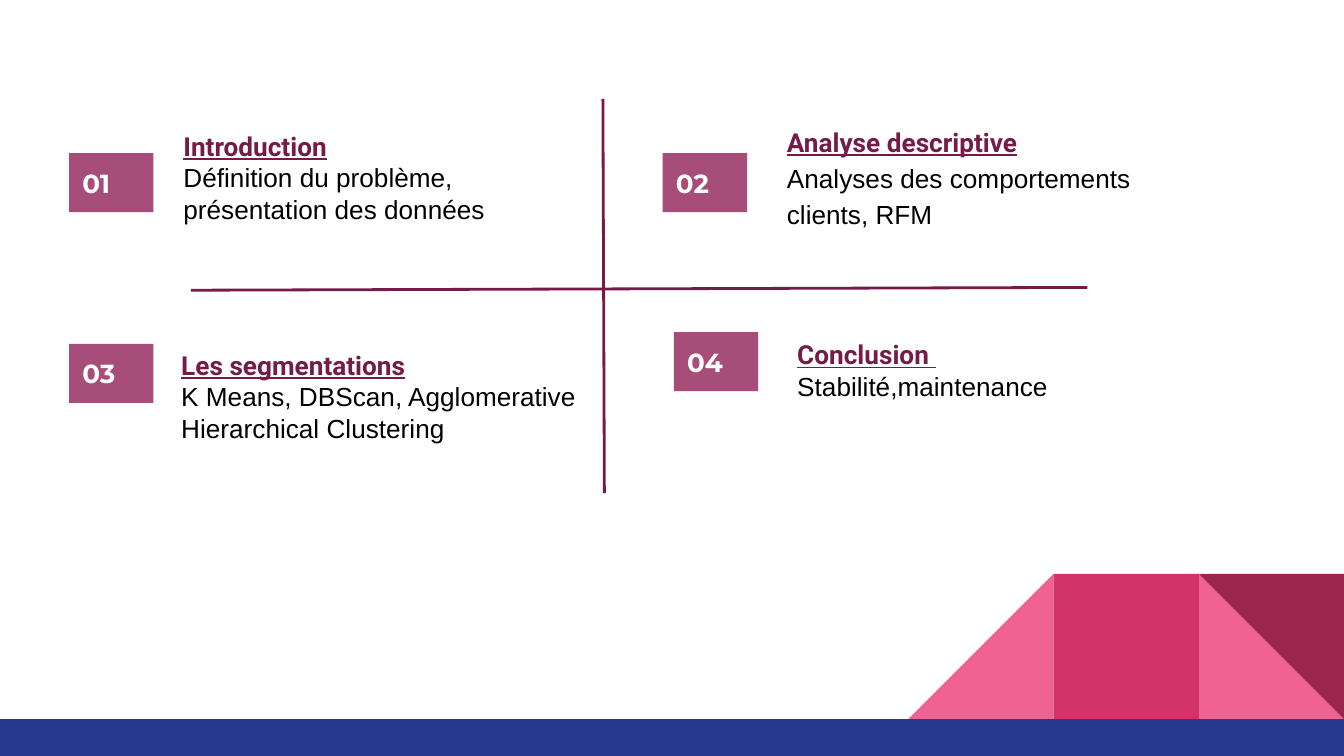
from dataclasses import dataclass

from lxml.etree import SubElement
from pptx import Presentation
from pptx.dml.color import RGBColor
from pptx.enum.shapes import MSO_CONNECTOR as Link, MSO_SHAPE as Kind
from pptx.enum.text import MSO_ANCHOR as Anchor, PP_ALIGN as Align
from pptx.oxml.ns import qn
from pptx.util import Pt


@dataclass(frozen=True)
class Theme:
    pink: str = "F06292"
    rose: str = "D23369"
    wine: str = "9C254D"
    blue: str = "2A3990"
    badge: str = "A64D79"
    plum: str = "741B47"
    white: str = "FFFFFF"
    black: str = "000000"
    size: float = 14
    line: float = 1.5
    inset: float = 7.2


def write(para, text, font="Arial", color="000000", size=14,
          bold=False, under=False, space=None):
    """Add a formatted run to a left-aligned paragraph."""
    para.alignment = Align.LEFT
    if space:
        para.line_spacing = space
    run = para.add_run()
    run.text = text
    face = run.font
    face.name, face.size = font, Pt(size)
    face.bold, face.underline = bold, under
    face.color.rgb = RGBColor.from_string(color)


class Deck:
    def __init__(self, theme, wide, high):
        self.theme = theme
        self.show = Presentation()
        self.show.slide_width, self.show.slide_height = Pt(wide), Pt(high)
        self.slide = self.show.slides.add_slide(self.show.slide_layouts[6])
        fill = self.slide.background.fill
        fill.solid()
        fill.fore_color.rgb = RGBColor.from_string(theme.white)

    def shape(self, kind, x, y, w, h, color, turn=0):
        item = self.slide.shapes.add_shape(kind, Pt(x), Pt(y), Pt(w), Pt(h))
        item.shadow.inherit = False
        item.fill.solid()
        item.fill.fore_color.rgb = RGBColor.from_string(color)
        item.line.fill.background()
        item.rotation = turn
        return item

    def frame(self, item, anchor):
        """Set the insets, wrapping and anchor of an item's text."""
        body = item.text_frame
        body.margin_left = body.margin_right = Pt(self.theme.inset)
        body.margin_top = body.margin_bottom = Pt(self.theme.inset)
        body.word_wrap = True
        body.vertical_anchor = anchor
        return body

    def badge(self, x, y, text):
        look = self.theme
        item = self.shape(Kind.RECTANGLE, x, y, 45.2, 31.6, look.badge)
        body = self.frame(item, Anchor.MIDDLE)
        write(body.paragraphs[0], text, font="Montserrat",
              color=look.white, size=look.size, bold=True)

    def topic(self, x, y, w, h, title, lines, space=None):
        look = self.theme
        item = self.slide.shapes.add_textbox(Pt(x), Pt(y), Pt(w), Pt(h))
        body = self.frame(item, Anchor.TOP)
        write(body.paragraphs[0], title, font="Roboto", color=look.plum,
              size=look.size, bold=True, under=True)
        for text in lines:
            write(body.add_paragraph(), text, color=look.black,
                  size=look.size, space=space)

    def rule(self, x1, y1, x2, y2):
        item = self.slide.shapes.add_connector(
            Link.STRAIGHT, Pt(x1), Pt(y1), Pt(x2), Pt(y2))
        item.line.color.rgb = RGBColor.from_string(self.theme.plum)
        item.line.width = Pt(self.theme.line)
        SubElement(item._element.spPr, qn("a:effectLst"))

    def decor(self, wide, high):
        """Draw the footer band and the folded corner resting on it."""
        look, side, band = self.theme, 77.8, 19.8
        base = high - band
        for slot, kind, color, turn in (
                (1, Kind.RIGHT_TRIANGLE, look.pink, 0),
                (3, Kind.RIGHT_TRIANGLE, look.pink, 270),
                (2, Kind.RECTANGLE, look.rose, 0),
                (1, Kind.RIGHT_TRIANGLE, look.wine, 180)):
            self.shape(kind, wide - slot * side, base - side,
                       side, side, color, turn)
        self.shape(Kind.RECTANGLE, 0, base, wide, band, look.blue)


def main():
    wide, high = 720, 405
    deck = Deck(Theme(), wide, high)
    deck.decor(wide, high)

    for x, y, text in ((37, 82, "01"), (355, 82, "02"),
                       (37, 184.2, "03"), (361, 178, "04")):
        deck.badge(x, y, text)

    deck.topic(91.2, 62.6, 217.4, 65.5, "Introduction",
               ["Définition du problème,", "présentation des données"])
    deck.topic(414.5, 60.5, 206.6, 107.3, "Analyse descriptive",
               ["Analyses des comportements clients, RFM"], space=1.15)
    deck.topic(90, 180, 236.2, 82, "Les segmentations",
               ["K Means, DBScan, Agglomerative Hierarchical Clustering"])
    deck.topic(420, 174.2, 236.2, 48.2, "Conclusion ",
               ["Stabilité,maintenance"])

    deck.rule(323, 53, 323.8, 264.2)
    deck.rule(102.2, 155.5, 582.5, 154)
    deck.show.save("out.pptx")


if __name__ == "__main__":
    main()
